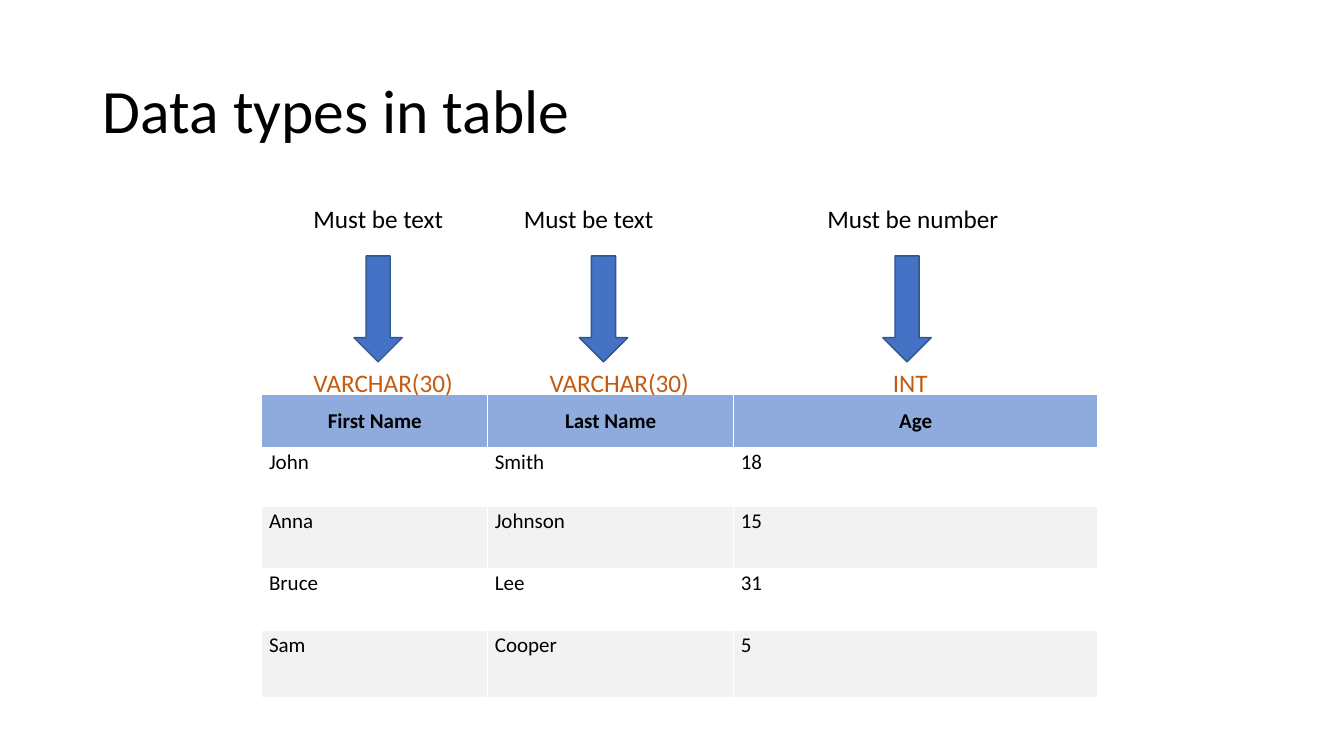
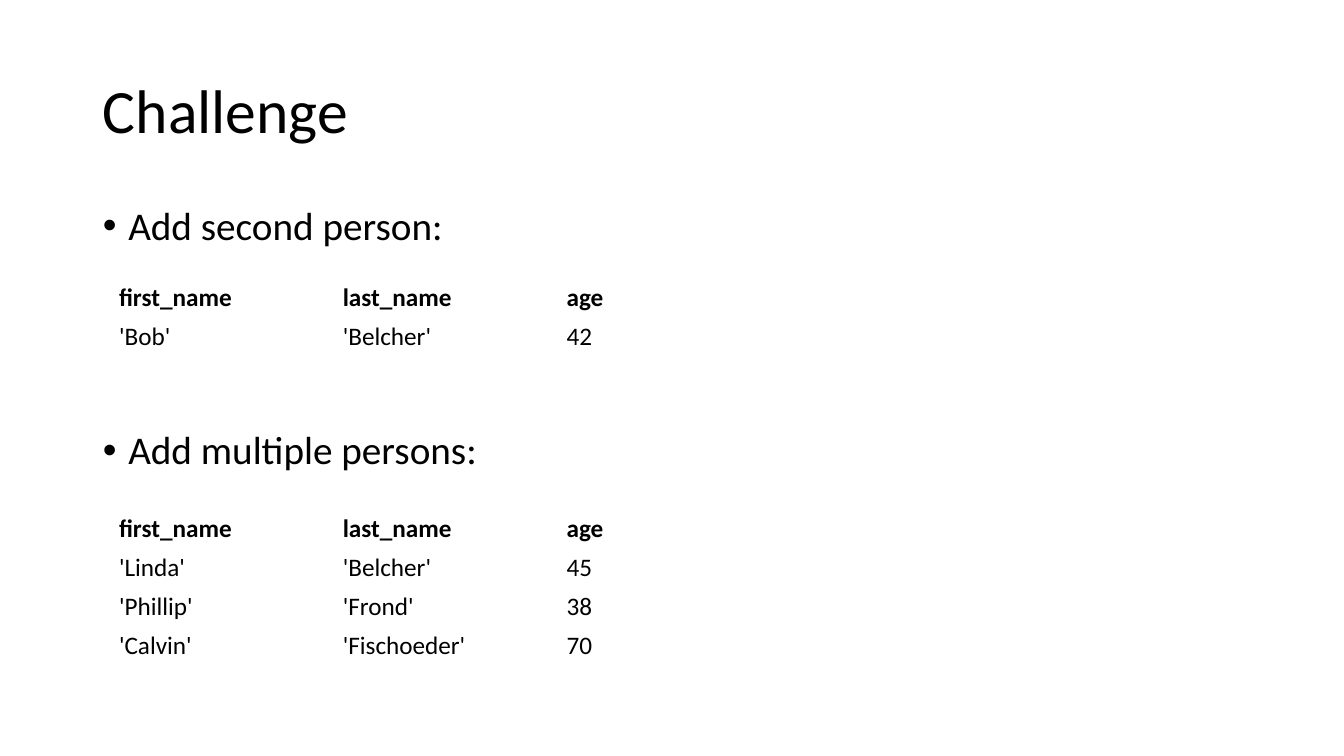
"""Build two slides on data types and adding rows to a table."""
from dataclasses import dataclass

from pptx import Presentation
from pptx.dml.color import RGBColor
from pptx.enum.shapes import MSO_SHAPE
from pptx.enum.text import MSO_ANCHOR, MSO_AUTO_SIZE, PP_ALIGN
from pptx.util import Cm, Pt

DOWN = MSO_SHAPE.DOWN_ARROW
LEFT, CENTER = PP_ALIGN.LEFT, PP_ALIGN.CENTER
TOP, MIDDLE = MSO_ANCHOR.TOP, MSO_ANCHOR.MIDDLE
FIXED = MSO_AUTO_SIZE.NONE


@dataclass(frozen=True)
class Theme:
    font: str = "Calibri"
    ink: str = "000000"
    accent: str = "C55A11"
    arrow: str = "4472C4"
    edge: str = "325491"
    head: str = "8FAADC"
    band: str = "F2F2F2"
    title: float = 44
    body: float = 28
    label: float = 18
    cell: float = 15


THEME = Theme()
SIZE = (33.87, 19.05)
MARGIN, WIDTH = 2.34, 29.21

TYPES = {
    "title": "Data types in table",
    "rows": [
        ("First Name", "Last Name", "Age"),
        ("John", "Smith", "18"),
        ("Anna", "Johnson", "15"),
        ("Bruce", "Lee", "31"),
        ("Sam", "Cooper", "5"),
    ],
    "at": (6.6, 9.93),
    "cols": (5.69, 6.2, 9.17),
    "heights": (1.34, 1.5, 1.55, 1.57, 1.68),
}

RULES = [
    {"note": ("Must be text", 7.65), "arrow": 8.92, "type": ("VARCHAR(30)", 7.65)},
    {"note": ("Must be text", 12.95), "arrow": 14.6, "type": ("VARCHAR(30)", 13.6)},
    {"note": ("Must be number", 20.6), "arrow": 22.25, "type": ("INT", 22.25)},
]

FIELDS = ("first_name", "last_name", "age")
TASKS = {
    "title": "Challenge",
    "parts": [
        {"text": "Add second person:", "before": 10, "top": 7.01,
         "rows": [FIELDS, ("'Bob'", "'Belcher'", "42")]},
        {"text": "Add multiple persons:", "before": 130, "top": 12.85,
         "rows": [FIELDS, ("'Linda'", "'Belcher'", "45"),
                  ("'Phillip'", "'Frond'", "38"),
                  ("'Calvin'", "'Fischoeder'", "70")]},
    ],
}


def color(code):
    return RGBColor.from_string(code)


def write(para, text, size, ink=THEME.ink, bold=False):
    run = para.add_run()
    run.text = text
    font = run.font
    font.name, font.size, font.bold = THEME.font, Pt(size), bold
    font.color.rgb = color(ink)


def place(shape, left, top, width, height):
    shape.left, shape.top = Cm(left), Cm(top)
    shape.width, shape.height = Cm(width), Cm(height)


def start(deck, layout, title):
    slide = deck.slides.add_slide(deck.slide_layouts.get_by_name(layout))
    shape = slide.shapes.title
    place(shape, MARGIN, 1.02, WIDTH, 3.68)
    frame = shape.text_frame
    frame.auto_size, frame.vertical_anchor = FIXED, MIDDLE
    para = frame.paragraphs[0]
    para.alignment, para.line_spacing = LEFT, 0.9
    write(para, title, THEME.title)
    return slide


def label(slide, text, left, top, ink):
    box = slide.shapes.add_textbox(Cm(left), Cm(top), Cm(5.4), Cm(1.03))
    box.text_frame.word_wrap = True
    write(box.text_frame.paragraphs[0], text, THEME.label, ink)


def point(slide, left):
    arrow = slide.shapes.add_shape(DOWN, Cm(left), Cm(6.45), Cm(1.22), Cm(2.67))
    arrow.shadow.inherit = False
    arrow.fill.solid()
    arrow.fill.fore_color.rgb = color(THEME.arrow)
    arrow.line.color.rgb = color(THEME.edge)
    arrow.line.width = Pt(1)


def grid(slide, rows, at, cols, heights, size, pad, rich=False):
    left, top = at
    table = slide.shapes.add_table(
        len(rows), len(cols), Cm(left), Cm(top), Cm(sum(cols)), Cm(sum(heights))
    ).table
    table.first_row = table.horz_banding = False
    for col, width in zip(table.columns, cols):
        col.width = Cm(width)
    for i, (row, height) in enumerate(zip(rows, heights)):
        table.rows[i].height = Cm(height)
        head = i == 0
        fill = THEME.head if head else THEME.band if i % 2 == 0 else None
        for j, text in enumerate(row):
            cell = table.cell(i, j)
            cell.margin_left = cell.margin_right = Cm(pad[0])
            cell.margin_top = cell.margin_bottom = Cm(pad[1])
            cell.vertical_anchor = MIDDLE if rich and head else TOP
            if rich and fill:
                cell.fill.solid()
                cell.fill.fore_color.rgb = color(fill)
            else:
                cell.fill.background()
            para = cell.text_frame.paragraphs[0]
            if rich:
                para.alignment = CENTER if head else LEFT
                para.line_spacing, para.space_after = 1.07, Pt(8)
            write(para, text, size, bold=head)


def show_types(deck):
    slide = start(deck, "Title Only", TYPES["title"])
    grid(slide, TYPES["rows"], TYPES["at"], TYPES["cols"], TYPES["heights"],
         THEME.cell, (0.18, 0), rich=True)
    for rule in RULES:
        point(slide, rule["arrow"])
        label(slide, *rule["note"], 5, THEME.ink)
        label(slide, *rule["type"], 9.12, THEME.accent)


def show_tasks(deck):
    slide = start(deck, "Title and Content", TASKS["title"])
    body = slide.placeholders[1]
    place(body, MARGIN, 5.08, WIDTH, 12.09)
    frame = body.text_frame
    frame.auto_size = FIXED
    for i, part in enumerate(TASKS["parts"]):
        para = frame.add_paragraph() if i else frame.paragraphs[0]
        para.line_spacing, para.space_before = 0.9, Pt(part["before"])
        props = para._p.get_or_add_pPr()
        props.set("marL", str(Cm(0.64)))
        props.set("indent", str(-Cm(0.64)))
        write(para, part["text"], THEME.body)
        rows = part["rows"]
        grid(slide, rows, (2.9, part["top"]), [5.64] * len(FIELDS),
             [0.98] * len(rows), THEME.label, (0.1, 0.1))


def main():
    deck = Presentation()
    deck.slide_width, deck.slide_height = map(Cm, SIZE)
    show_types(deck)
    show_tasks(deck)
    deck.save("out.pptx")


if __name__ == "__main__":
    main()
